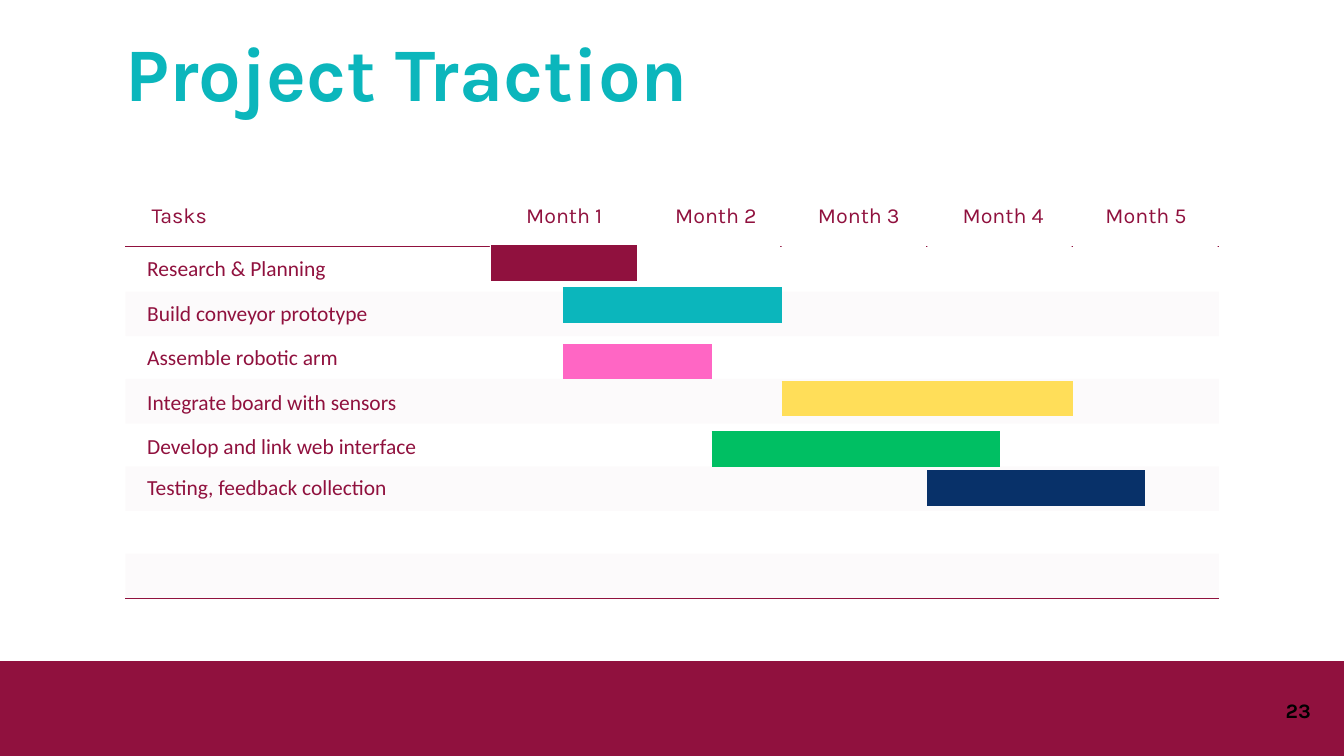
from pptx import Presentation
from pptx.dml.color import RGBColor
from pptx.enum.shapes import MSO_CONNECTOR as Wire, MSO_SHAPE as Form
from pptx.enum.text import MSO_AUTO_SIZE as Fit, PP_ALIGN as Align
from pptx.oxml.ns import qn
from pptx.util import Inches, Pt
from lxml.etree import SubElement as Sub

WINE, TEAL = "90113E", "0BB6BC"
LEFT, RIGHT = -2.5, 5


def tint(code):
    return RGBColor.from_string(code)


class Chart:
    """Draw on a grid of month columns and task rows."""

    def __init__(self, slide):
        self.shapes = slide.shapes
        self.font, self.size, self.color = "Karla", 23, WINE

    def left(self, col):
        return Inches(7.29 + 2.17 * col)

    def top(self, row):
        return Inches(3.69 + 0.65 * row)

    def area(self, col, row, wide, high):
        x, y = self.left(col), self.top(row)
        return x, y, self.left(col + wide) - x, self.top(row + high) - y

    def block(self, col, row, wide, high, color, alpha=100):
        box = self.shapes.add_shape(Form.RECTANGLE, *self.area(col, row, wide, high))
        box.shadow.inherit = False
        box.line.fill.background()
        box.fill.solid()
        box.fill.fore_color.rgb = tint(color)
        if alpha < 100:
            node = box.fill._xPr.find(".//" + qn("a:srgbClr"))
            Sub(node, qn("a:alpha"), val=str(alpha * 1000))

    def stroke(self, start, end, row, color=WINE, width=1.5):
        y = self.top(row)
        wire = self.shapes.add_connector(Wire.STRAIGHT, self.left(start), y, self.left(end), y)
        wire.line.color.rgb = tint(color)
        wire.line.width = Pt(width)
        Sub(wire._element.spPr, qn("a:effectLst"))

    def text(self, words, col, row, wide, high=0.69, align=Align.JUSTIFY,
             lead=32.2, font=None, size=None, color=None, bold=False):
        frame = self.shapes.add_textbox(*self.area(col, row, wide, high)).text_frame
        frame.margin_left = frame.margin_right = frame.margin_top = frame.margin_bottom = 0
        frame.word_wrap = True
        frame.auto_size = Fit.SHAPE_TO_FIT_TEXT
        para = frame.paragraphs[0]
        para.text = words
        para.alignment = align
        if lead:
            para.line_spacing = Pt(lead)
        para.font.name = font or self.font
        para.font.size = Pt(size or self.size)
        para.font.bold = bold
        para.font.color.rgb = tint(color or self.color)


def main():
    deck = Presentation()
    deck.slide_width, deck.slide_height = Inches(20), Inches(11.25)
    chart = Chart(deck.slides.add_slide(deck.slide_layouts[6]))

    for row in range(1, 8, 2):
        chart.block(LEFT, row, RIGHT - LEFT, 1.02, WINE, alpha=2)
    for row in (-0.03, 8.02):
        chart.stroke(LEFT, RIGHT, row)

    chart.text("Tasks", -2.32, -1.14, 2.2)
    for col, mid in enumerate((0.51, 1.55, 2.53, 3.52, 4.5)):
        chart.block(col, -1.52, 0.99, 1.5, "FFFFFF")
        chart.text(f"Month {col + 1}", mid - 0.33, -1.14, 0.66, align=Align.CENTER)

    tasks = [
        ("Research & Planning", 0.01, 1.01, 0.34, WINE),
        ("Build conveyor prototype", 0.5, 2, 1.31, TEAL),
        ("Assemble robotic arm", 0.5, 1.52, 2.6, "FF66C4"),
        ("Integrate board with sensors", 2, 4, 3.45, "FFDE59"),
        ("Develop and link web interface", 1.52, 3.5, 4.6, "00BF63"),
        ("Testing, feedback collection", 3, 4.49, 5.49, "083169"),
    ]
    last = len(tasks) - 1
    for i, (name, start, end, row, color) in enumerate(tasks):
        chart.text(name, -2.35, 0.07 + 1.02 * i, 2.24, font="Calibri",
                   lead=None if i == last else 32.2)
        chart.stroke(start, end, row, color, 38.25)

    chart.text("Project Traction", LEFT, -5.09, 7.42, 2.08, Align.LEFT,
               lead=97.2, size=81, color=TEAL, bold=True)
    chart.block(-3.36, 9.46, 9.22, 2.17, WINE)
    chart.text("23", 5.23, 10.28, 0.4, 0.58, Align.RIGHT,
               lead=27.5, size=22, color="000000", bold=True)
    deck.save("out.pptx")


if __name__ == "__main__":
    main()
